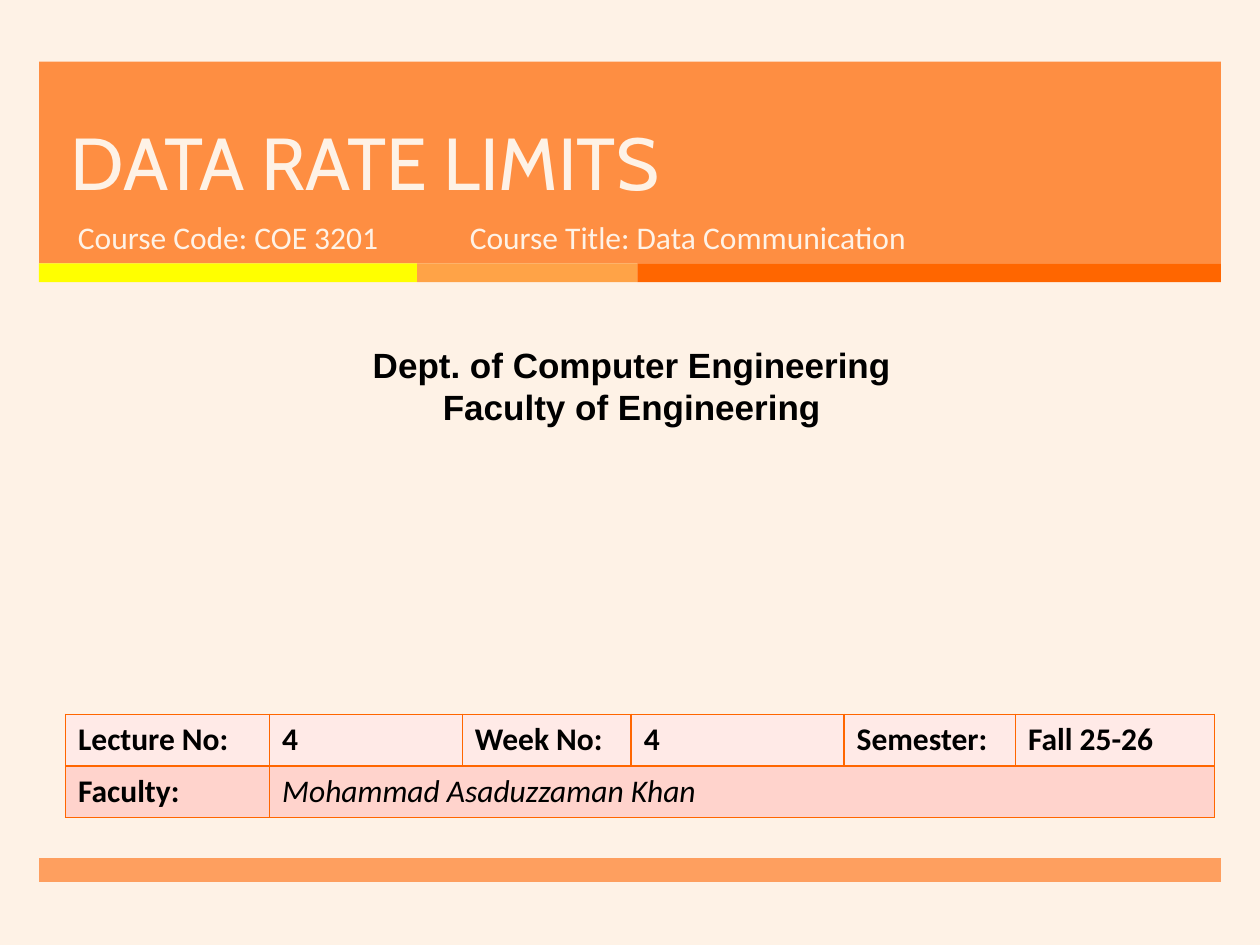
from dataclasses import dataclass

from lxml import etree
from pptx import Presentation
from pptx.dml.color import RGBColor
from pptx.enum.shapes import MSO_SHAPE
from pptx.enum.text import MSO_ANCHOR, PP_ALIGN
from pptx.oxml.ns import qn
from pptx.util import Inches, Pt

RECTANGLE = MSO_SHAPE.RECTANGLE
TOP, BOTTOM = MSO_ANCHOR.TOP, MSO_ANCHOR.BOTTOM
LEFT, CENTER = PP_ALIGN.LEFT, PP_ALIGN.CENTER

TITLE = "DATA RATE LIMITS"
COURSE_LINES = [
    ("Course Code: COE 3201", 0.52, 3.05),
    ("Course Title: Data Communication", 3.63, 4.55),
]
DEPARTMENT = ["Dept. of Computer Engineering", "Faculty of Engineering"]
LECTURE_ROW = ["Lecture No:", "4", "Week No:", "4", "Semester:", "Fall 25-26"]
FACULTY_ROW = ["Faculty:", "Mohammad Asaduzzaman Khan"]
COLUMN_WIDTHS = [1.62, 1.53, 1.34, 1.69, 1.36, 1.58]
ROW_HEIGHT = 0.41
STRIPES = [("FFFF00", 3), ("FFA347", 1.75), ("FF6600", 4.63)]
BAND_LEFT, BAND_WIDTH = 0.31, 9.38


@dataclass(frozen=True)
class Theme:
    background: str = "FEF2E6"
    band: str = "FF7D26"
    border: str = "FF6600"
    ink: str = "000000"
    lecture_fill: str = "FFEAE7"
    faculty_fill: str = "FFD3CC"
    title_font: str = "Cabin"
    body_font: str = "Calibri"
    department_font: str = "Arial"
    title_size: int = 42
    title_leading: int = 46
    department_size: int = 20
    body_size: int = 18


THEME = Theme()


def paint(fill, color):
    fill.solid()
    fill.fore_color.rgb = RGBColor.from_string(color)


def add_band(slide, left, top, width, height, color, opacity=100):
    band = slide.shapes.add_shape(
        RECTANGLE, Inches(left), Inches(top), Inches(width), Inches(height))
    band.shadow.inherit = False
    band.line.fill.background()
    paint(band.fill, color)
    if opacity < 100:
        tint = band.element.spPr.find(f"{qn('a:solidFill')}/{qn('a:srgbClr')}")
        etree.SubElement(tint, qn("a:alpha"), val=str(opacity * 1000))


def write(paragraph, text, font, size, color, bold=False, italic=False, align=LEFT):
    paragraph.alignment = align
    run = paragraph.add_run()
    run.text = text
    run.font.name = font
    run.font.size = Pt(size)
    run.font.bold = bold
    run.font.italic = italic
    run.font.color.rgb = RGBColor.from_string(color)


def add_text_frame(slide, left, top, width, height):
    frame = slide.shapes.add_textbox(
        Inches(left), Inches(top), Inches(width), Inches(height)).text_frame
    frame.word_wrap = True
    frame.vertical_anchor = TOP
    return frame


def border_cell(cell):
    properties = cell._tc.get_or_add_tcPr()
    for index, side in enumerate(("a:lnL", "a:lnR", "a:lnT", "a:lnB")):
        line = etree.Element(qn(side), w=str(Pt(1)))
        solid = etree.SubElement(line, qn("a:solidFill"))
        etree.SubElement(solid, qn("a:srgbClr"), val=THEME.border)
        properties.insert(index, line)


def add_bands(slide):
    add_band(slide, BAND_LEFT, 0.49, BAND_WIDTH, 1.6, THEME.band, 85)
    left = BAND_LEFT
    for color, width in STRIPES:
        add_band(slide, left, 2.09, width, 0.15, color)
        left += width
    add_band(slide, BAND_LEFT, 6.81, BAND_WIDTH, 0.19, THEME.band, 70)


def place_title(slide):
    title = slide.shapes.title
    title.element.getparent().append(title.element)
    title.left, title.top = Inches(0.46), Inches(0.49)
    title.width, title.height = Inches(8.54), Inches(1.19)
    title.text_frame.vertical_anchor = BOTTOM
    heading = title.text_frame.paragraphs[0]
    heading.line_spacing = Pt(THEME.title_leading)
    write(heading, TITLE, THEME.title_font, THEME.title_size, THEME.background)


def add_department(slide):
    frame = add_text_frame(slide, 0.08, 2.68, 9.87, 0.77)
    for index, name in enumerate(DEPARTMENT):
        paragraph = frame.add_paragraph() if index else frame.paragraphs[0]
        write(paragraph, name, THEME.department_font, THEME.department_size,
              THEME.ink, bold=True, align=CENTER)


def add_lecture_table(slide):
    rows = [(LECTURE_ROW, THEME.lecture_fill), (FACULTY_ROW, THEME.faculty_fill)]
    table = slide.shapes.add_table(
        len(rows), len(COLUMN_WIDTHS), Inches(0.52), Inches(5.67),
        Inches(sum(COLUMN_WIDTHS)), Inches(ROW_HEIGHT * len(rows))).table
    for column, width in zip(table.columns, COLUMN_WIDTHS):
        column.width = Inches(width)
    table.cell(1, 1).merge(table.cell(1, len(COLUMN_WIDTHS) - 1))
    for row_index, (entries, color) in enumerate(rows):
        table.rows[row_index].height = Inches(ROW_HEIGHT)
        for cell in table.rows[row_index].cells:
            paint(cell.fill, color)
            border_cell(cell)
        for column_index, entry in enumerate(entries):
            is_name = entries is FACULTY_ROW and column_index == 1
            paragraph = table.cell(row_index, column_index).text_frame.paragraphs[0]
            write(paragraph, entry, THEME.body_font, THEME.body_size, THEME.ink,
                  bold=not is_name, italic=is_name)


def main():
    deck = Presentation()
    deck.slide_width, deck.slide_height = Inches(10), Inches(7.5)
    slide = deck.slides.add_slide(deck.slide_layouts[5])
    paint(slide.background.fill, THEME.background)
    add_bands(slide)
    place_title(slide)
    for text, left, width in COURSE_LINES:
        frame = add_text_frame(slide, left, 1.68, width, 0.53)
        write(frame.paragraphs[0], text, THEME.body_font, THEME.body_size,
              THEME.background)
    add_department(slide)
    add_lecture_table(slide)
    deck.save("out.pptx")


if __name__ == "__main__":
    main()
